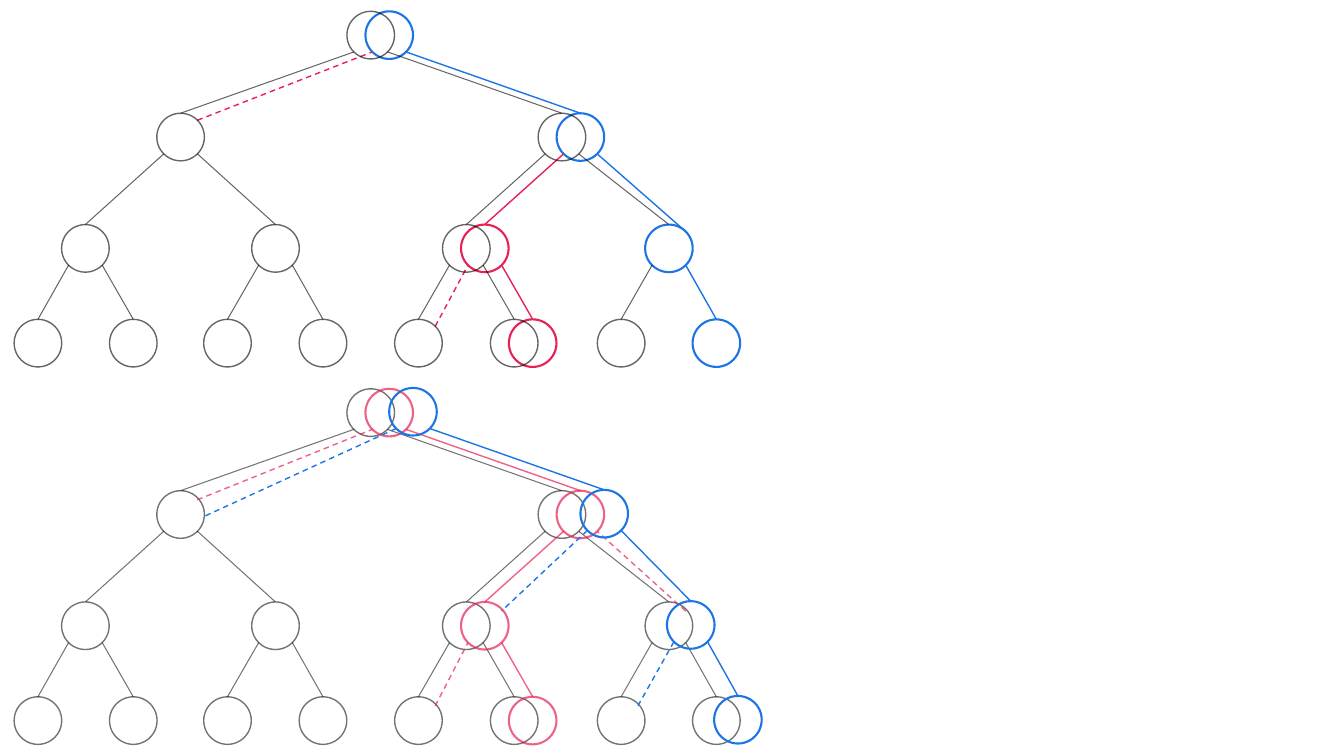
from lxml import etree
from pptx import Presentation
from pptx.dml.color import RGBColor
from pptx.enum.dml import MSO_LINE
from pptx.enum.shapes import MSO_CONNECTOR, MSO_SHAPE
from pptx.oxml.ns import qn
from pptx.util import Pt

STRAIGHT = MSO_CONNECTOR.STRAIGHT
ELLIPSE = MSO_SHAPE.OVAL
DASH = MSO_LINE.DASH

COLORS = {"tree": "000000", "red": "E62154", "blue": "1D75E5"}

NODE_X = (264.8, 129, 401.4, 61, 196.8, 333.1, 477.8,
          27.1, 95.2, 162.5, 230.7, 298.9, 367.3, 443.7, 511.7)
LEVEL_Y = (25.1, 97.9, 177.4, 245.1)
DIAMETER = 34
CORNER = 12
LOWER_TREE_Y = 269.6

NODES = range(1, 16)
TREE_WIDTHS = (1, 0.75)
PATH_WIDTHS = (1.5, 1)
RED_SHIFT = {1: 13.2, 3: 13.2, 6: 13.2, 13: 13.2}
UPPER_END = (12, -12)
LOWER_END = (12, -10.5)

PATHS = [
    {"color": "blue", "opacity": 100, "y": 0,
     "widths": PATH_WIDTHS, "shift": {1: 13.2, 3: 13.2},
     "circles": (1, 3, 7, 15), "solid": (3, 15),
     "joined": {7: UPPER_END}, "dashed": {}},
    {"color": "red", "opacity": 100, "y": 0,
     "widths": PATH_WIDTHS, "shift": RED_SHIFT,
     "circles": (6, 13), "solid": (6, 13),
     "joined": {}, "dashed": {2: UPPER_END, 12: UPPER_END}},
    {"color": "tree", "opacity": 60, "y": 0,
     "widths": TREE_WIDTHS, "shift": {},
     "circles": [node for node in NODES if node not in (7, 15)],
     "solid": range(2, 15), "joined": {}, "dashed": {}},
    {"color": "tree", "opacity": 55, "y": LOWER_TREE_Y,
     "widths": TREE_WIDTHS, "shift": {},
     "circles": NODES, "solid": range(2, 16), "joined": {}, "dashed": {}},
    {"color": "red", "opacity": 70, "y": LOWER_TREE_Y,
     "widths": PATH_WIDTHS, "shift": RED_SHIFT,
     "circles": (1, 3, 6, 13), "solid": (3, 6, 13), "joined": {},
     "dashed": {2: LOWER_END, 12: LOWER_END, 7: LOWER_END}},
    {"color": "blue", "opacity": 100, "y": LOWER_TREE_Y - 0.6,
     "widths": PATH_WIDTHS, "shift": {1: 30.2, 3: 30.2, 7: 15.6, 15: 15.4},
     "circles": (1, 3, 7, 15), "solid": (3, 7, 15), "joined": {},
     "dashed": {2: (17.2, 1.8), 6: (25.2, -10), 14: (12, -10)}},
]


def center(path, node):
    level = node.bit_length() - 1
    return NODE_X[node - 1] + path["shift"].get(node, 0), LEVEL_Y[level] + path["y"]


def style_line(shape, path, width):
    shape.line.color.rgb = RGBColor.from_string(COLORS[path["color"]])
    shape.line.width = Pt(width)
    if path["opacity"] < 100:
        color = shape._element.spPr.find(".//" + qn("a:srgbClr"))
        alpha = etree.SubElement(color, qn("a:alpha"))
        alpha.set("val", str(path["opacity"] * 1000))


def add_circle(page, path, node):
    x, y = center(path, node)
    circle = page.shapes.add_shape(
        ELLIPSE, Pt(x - DIAMETER / 2), Pt(y - DIAMETER / 2), Pt(DIAMETER), Pt(DIAMETER))
    circle.shadow.inherit = False
    circle.fill.background()
    style_line(circle, path, path["widths"][0])


def add_edge(page, path, child, end, dashed=False):
    x, y = center(path, child // 2)
    side = 1 if child % 2 else -1
    points = [(x + side * CORNER, y + CORNER), end]
    if dashed and path["color"] == "red":
        points.reverse()
    edge = page.shapes.add_connector(
        STRAIGHT, *(Pt(value) for point in points for value in point))
    style_line(edge, path, path["widths"][1])
    if dashed:
        edge.line.dash_style = DASH
    etree.SubElement(edge._element.spPr, qn("a:effectLst"))


def add_path(page, path):
    for node in path["circles"]:
        add_circle(page, path, node)
    for child in path["solid"]:
        x, y = center(path, child)
        add_edge(page, path, child, (x, y - DIAMETER / 2))
    for kind in ("joined", "dashed"):
        for child, (right, down) in path[kind].items():
            x, y = center({**path, "shift": {}}, child)
            add_edge(page, path, child, (x + right, y + down), kind == "dashed")


def main():
    deck = Presentation()
    deck.slide_width, deck.slide_height = Pt(960), Pt(540)
    page = deck.slides.add_slide(deck.slide_layouts[6])
    for path in PATHS:
        add_path(page, path)
    deck.save("out.pptx")


if __name__ == "__main__":
    main()
